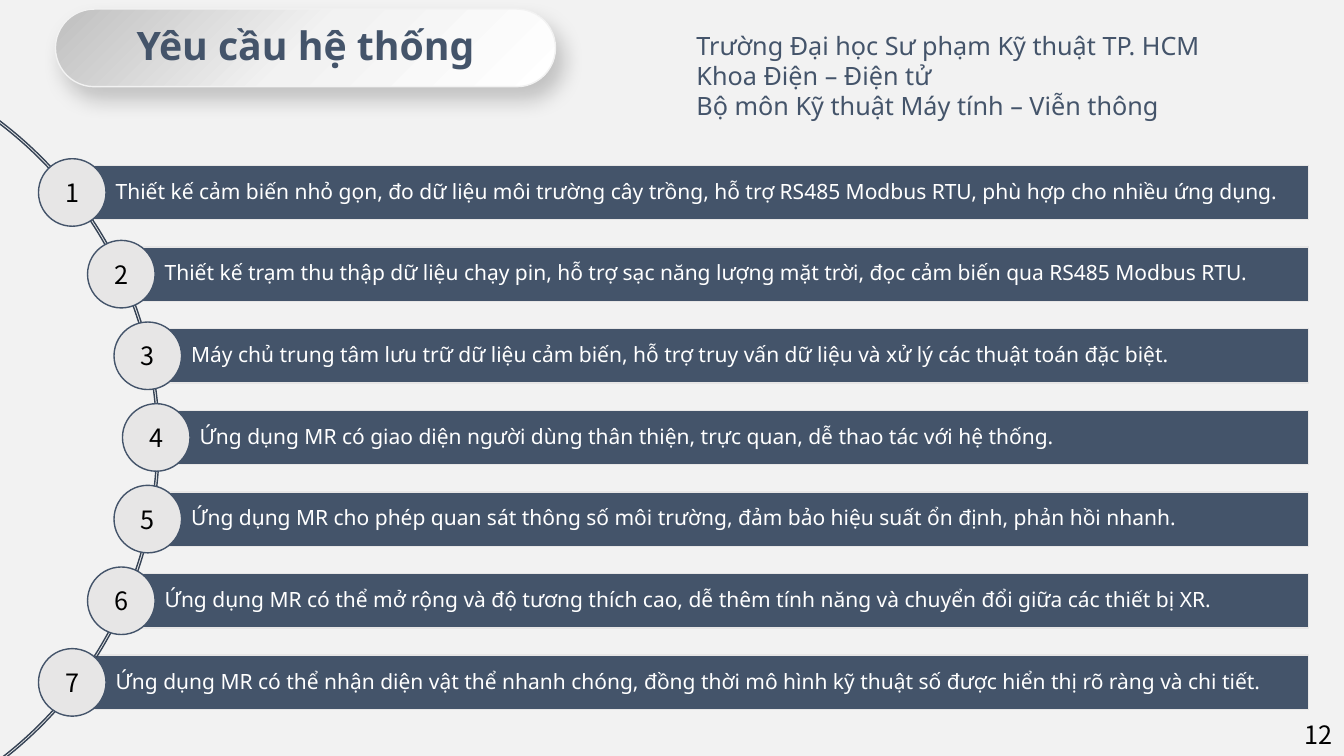
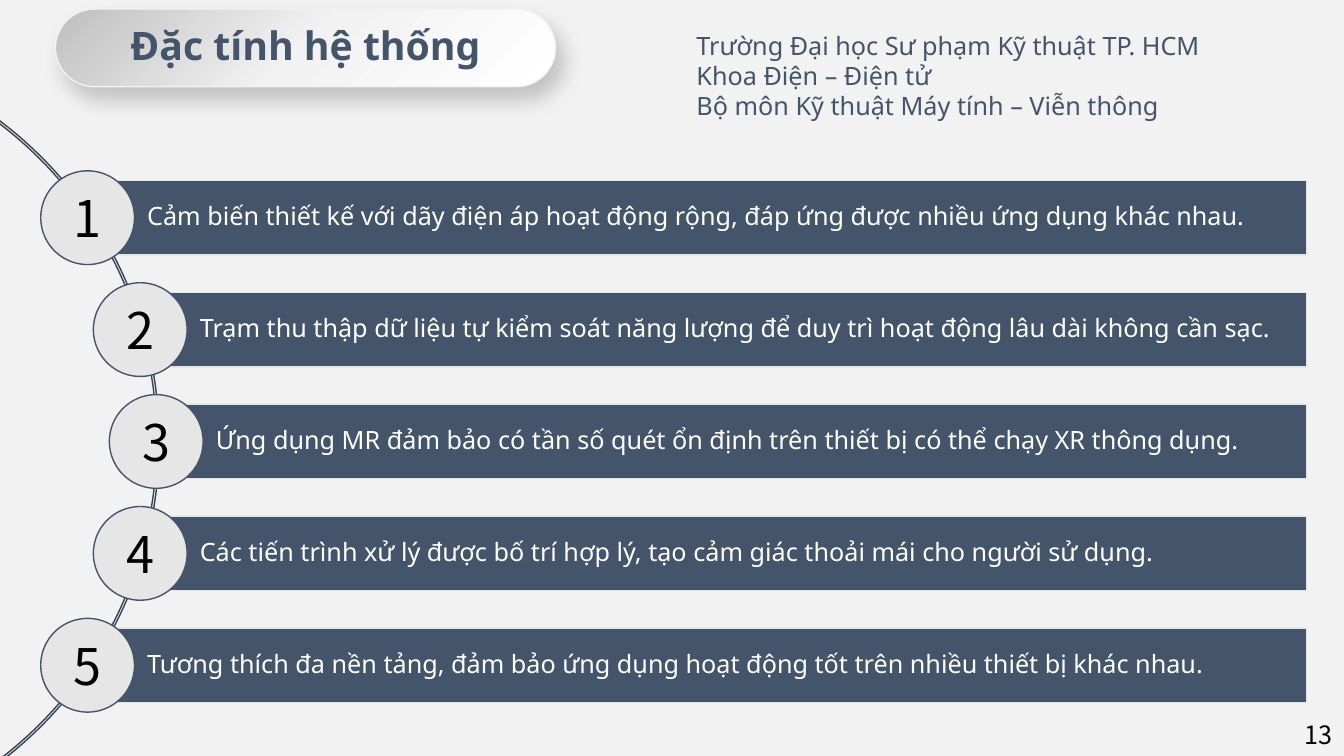
"""Build two numbered-list slides on system needs and traits."""
import math

import lxml.etree
import pptx
import pptx.dml.color
import pptx.enum.shapes
import pptx.enum.text
import pptx.oxml.ns
import pptx.util

Inches, Pt = pptx.util.Inches, pptx.util.Pt
RGB = pptx.dml.color.RGBColor
Kind = pptx.enum.shapes.MSO_SHAPE
Align = pptx.enum.text.PP_ALIGN
Anchor = pptx.enum.text.MSO_ANCHOR
qn = pptx.oxml.ns.qn

SLATE = RGB(0x44, 0x54, 0x6A)
DARK = RGB(0x36, 0x43, 0x55)
PALE = RGB(0xE7, 0xE6, 0xE6)
MIST = RGB(0xF2, 0xF2, 0xF2)
GREY = RGB(0xBF, 0xBF, 0xBF)
WHITE = RGB(0xFF, 0xFF, 0xFF)
BLACK = RGB(0, 0, 0)

SANS, CJK = "Noto Sans", "Noto Sans CJK SC"
HUB, REACH = -2.41, 3.96
SCHOOL = [
    "Trường Đại học Sư phạm Kỹ thuật TP. HCM",
    "Khoa Điện – Điện tử",
    "Bộ môn Kỹ thuật Máy tính – Viễn thông",
]

NEEDS = [
    "Thiết kế cảm biến nhỏ gọn, đo dữ liệu môi trường cây trồng, hỗ trợ RS485 Modbus RTU, phù hợp cho nhiều ứng dụng.",
    "Thiết kế trạm thu thập dữ liệu chạy pin, hỗ trợ sạc năng lượng mặt trời, đọc cảm biến qua RS485 Modbus RTU.",
    "Máy chủ trung tâm lưu trữ dữ liệu cảm biến, hỗ trợ truy vấn dữ liệu và xử lý các thuật toán đặc biệt.",
    "Ứng dụng MR có giao diện người dùng thân thiện, trực quan, dễ thao tác với hệ thống.",
    "Ứng dụng MR cho phép quan sát thông số môi trường, đảm bảo hiệu suất ổn định, phản hồi nhanh.",
    "Ứng dụng MR có thể mở rộng và độ tương thích cao, dễ thêm tính năng và chuyển đổi giữa các thiết bị XR.",
    "Ứng dụng MR có thể nhận diện vật thể nhanh chóng, đồng thời mô hình kỹ thuật số được hiển thị rõ ràng và chi tiết.",
]
TRAITS = [
    "Cảm biến thiết kế với dãy điện áp hoạt động rộng, đáp ứng được nhiều ứng dụng khác nhau.",
    "Trạm thu thập dữ liệu tự kiểm soát năng lượng để duy trì hoạt động lâu dài không cần sạc.",
    "Ứng dụng MR đảm bảo có tần số quét ổn định trên thiết bị có thể chạy XR thông dụng.",
    "Các tiến trình xử lý được bố trí hợp lý, tạo cảm giác thoải mái cho người sử dụng.",
    "Tương thích đa nền tảng, đảm bảo ứng dụng hoạt động tốt trên nhiều thiết bị khác nhau.",
]


class Deck:
    """Hold the style, the file and the current slide."""

    def __init__(self):
        """Start a wide deck with a pale master background."""
        self.prs = pptx.Presentation()
        self.prs.slide_width = Inches(13.33)
        self.prs.slide_height = Inches(7.5)
        fill = self.prs.slide_master.background.fill
        fill.solid()
        fill.fore_color.rgb = MIST
        self.slide = None

    def label(self, frame, lines, look, pads=(0.1, 0.05, 0.1, 0.05),
              anchor=Anchor.TOP, align=Align.LEFT, space=1.0, wrap=True):
        """Fill a text frame with lines in one look."""
        sides = ("left", "top", "right", "bottom")
        form = {f"margin_{side}": Inches(pad) for side, pad in zip(sides, pads)}
        form.update(word_wrap=wrap, vertical_anchor=anchor,
                    auto_size=pptx.enum.text.MSO_AUTO_SIZE.NONE)
        for name, value in form.items():
            setattr(frame, name, value)
        frame.text = "\n".join(lines)
        for para in frame.paragraphs:
            para.alignment = align
            para.line_spacing = space
            for name, value in look.items():
                if name == "color":
                    para.font.color.rgb = value
                else:
                    setattr(para.font, name, value)

    def shape(self, kind, box, fill, line):
        """Add a preset shape; a fill of None leaves it clear."""
        item = self.slide.shapes.add_shape(kind, *map(Inches, box))
        item.shadow.inherit = False
        if fill is None:
            item.fill.background()
        else:
            item.fill.solid()
            item.fill.fore_color.rgb = fill
        item.line.color.rgb = line
        item.line.width = Pt(1)
        return item

    def text(self, box, lines, look):
        """Add a plain text box."""
        item = self.slide.shapes.add_textbox(*map(Inches, box))
        self.label(item.text_frame, lines, look)

    def pill(self, box):
        """Add the shaded, rounded plate and return it."""
        item = self.shape(Kind.ROUNDED_RECTANGLE, box, MIST, MIST)
        item.adjustments[0] = 0.5
        item.fill.gradient()
        props = item._element.spPr
        grad = props.find(qn("a:gradFill"))
        stops = grad.find(qn("a:gsLst"))
        for stop in list(stops):
            stops.remove(stop)
        for pos, color in ((0, GREY), (50, MIST), (100, WHITE)):
            stop = lxml.etree.SubElement(stops, qn("a:gs"), pos=str(pos * 1000))
            lxml.etree.SubElement(stop, qn("a:srgbClr"), val=str(color))
        grad.find(qn("a:lin")).set("ang", str(45 * 60000))
        glow = lxml.etree.SubElement(
            props.find(qn("a:effectLst")), qn("a:outerShdw"),
            blurRad=str(Pt(15)), dist=str(Pt(10)), dir=str(59 * 60000),
            algn="ctr", rotWithShape="0")
        tint = lxml.etree.SubElement(glow, qn("a:srgbClr"), val=str(BLACK))
        lxml.etree.SubElement(tint, qn("a:alpha"), val="20000")
        return item

    def title(self, words):
        """Place the title on its plate."""
        box = (0.55, 0.09, 4.96, 0.77)
        head = self.slide.shapes.title
        head._element.addprevious(self.pill(box)._element)
        for name, value in zip(("left", "top", "width", "height"), box):
            setattr(head, name, Inches(value))
        look = {"name": SANS, "size": Pt(28), "bold": True, "color": SLATE}
        self.label(head.text_frame, [words], look, anchor=Anchor.MIDDLE,
                   align=Align.CENTER, space=0.9)

    def arc(self):
        """Add the thin curve that the number discs sit on."""
        item = self.shape(Kind.BLOCK_ARC, (-6.4, 0.39, 7.98, 7.98), None, DARK)
        for spot, value in enumerate((300 * 0.6, 60 * 0.6, 0.003)):
            item.adjustments[spot] = value

    def bar(self, left, mid, right, high, pad, words, size):
        """Add one band of text centred on a height."""
        box = (left, mid - high / 2, right - left, high)
        item = self.shape(Kind.RECTANGLE, box, SLATE, PALE)
        look = {"name": SANS, "size": Pt(size), "color": WHITE}
        self.label(item.text_frame, [words], look, (pad, 0.04, 0.04, 0.04),
                   Anchor.MIDDLE, space=0.9)

    def disc(self, x, y, wide, mark, size):
        """Add one numbered disc centred on a point."""
        box = (x - wide / 2, y - wide / 2, wide, wide)
        item = self.shape(Kind.OVAL, box, PALE, SLATE)
        look = {"name": CJK, "size": Pt(size), "color": BLACK}
        self.label(item.text_frame, [mark], look, (0, 0, 0, 0),
                   Anchor.MIDDLE, Align.CENTER, wrap=False)

    def steps(self, items, mid, gap, right, high, pad, size, wide, digit):
        """Lay bars and discs along the curve at equal gaps."""
        spots = []
        for rank in range(len(items)):
            rise = (rank - (len(items) - 1) / 2) * gap
            spots.append((HUB + math.sqrt(REACH ** 2 - rise ** 2), mid + rise))
        for (x, y), words in zip(spots, items):
            self.bar(x, y, right, high, pad, words, size)
        self.arc()
        for rank, (x, y) in enumerate(spots, 1):
            self.disc(x, y, wide, str(rank), digit)

    def page(self, words, number, items, **form):
        """Add a whole slide."""
        self.slide = self.prs.slides.add_slide(self.prs.slide_layouts[5])
        self.title(words)
        self.steps(items, **form)
        self.text((12.84, 7.09, 0.5, 0.4), [str(number)],
                  {"name": CJK, "size": Pt(18), "color": BLACK})
        self.text((6.81, 0.25, 5.33, 1.01), SCHOOL,
                  {"name": SANS, "size": Pt(18), "color": SLATE})


def main():
    """Build and save the deck."""
    deck = Deck()
    deck.page("Yêu cầu hệ thống", 12, NEEDS, mid=4.34, gap=0.81, right=12.98,
              high=0.54, pad=0.43, size=15, wide=0.67, digit=18)
    deck.page("Đặc tính hệ thống", 13, TRAITS, mid=4.38, gap=1.11, right=12.96,
              high=0.74, pad=0.59, size=18, wide=0.93, digit=36)
    deck.prs.save("out.pptx")


if __name__ == "__main__":
    main()
